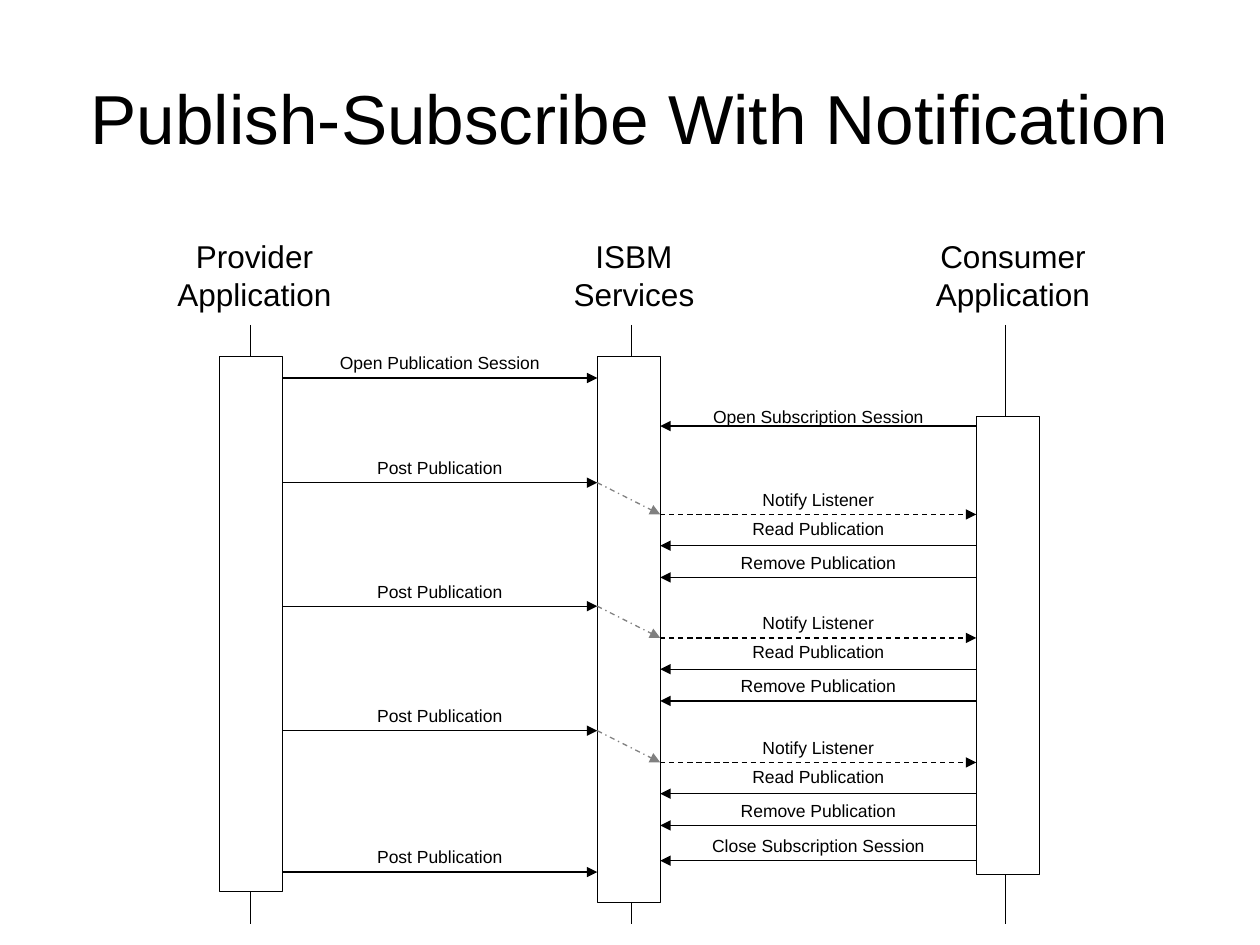
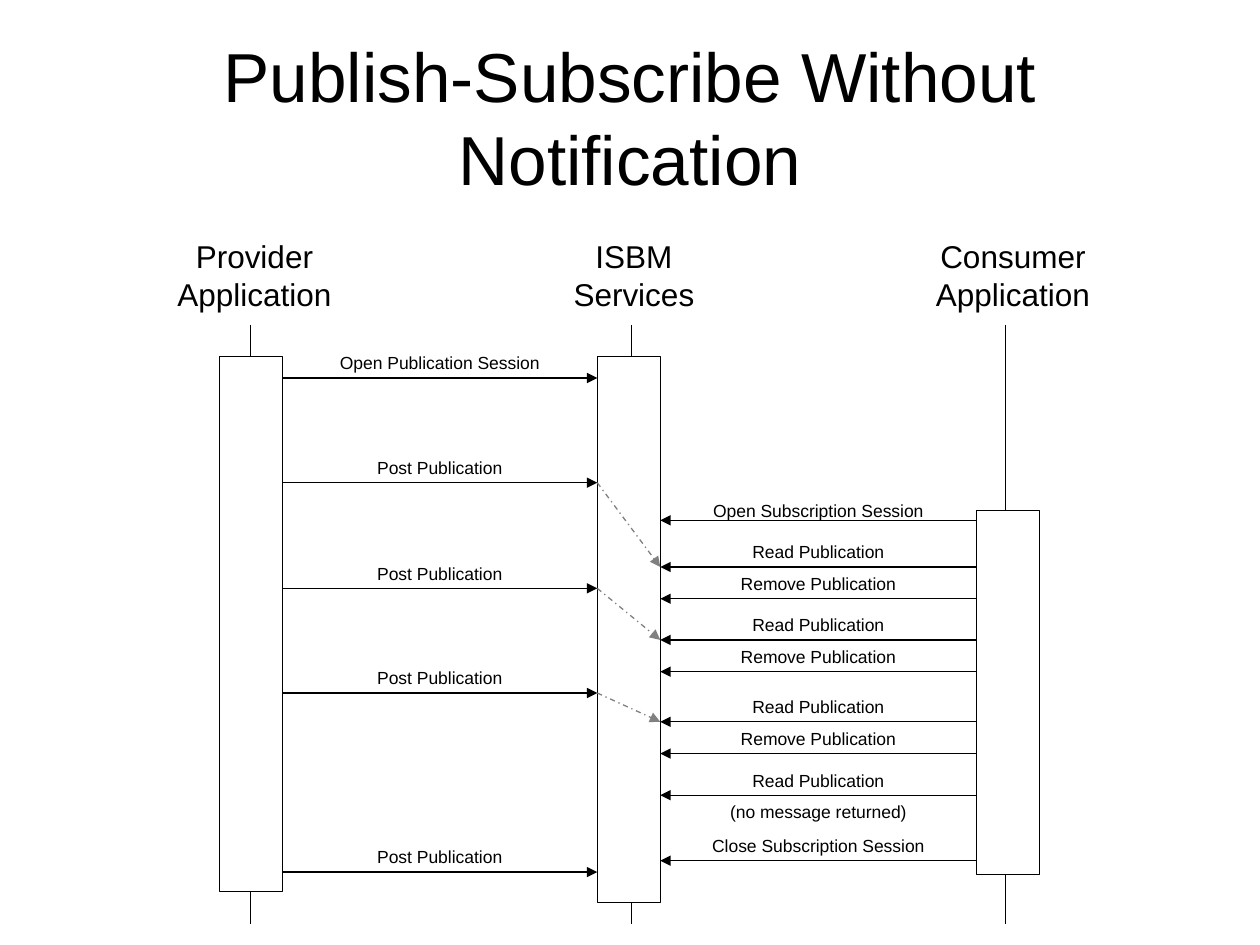
"""Builds two sequence diagrams of publish-subscribe messaging."""
from lxml import etree
from pptx import Presentation
from pptx import util as u
from pptx.dml.color import RGBColor
from pptx.enum import dml, shapes, text
from pptx.oxml import ns

BLACK = RGBColor(0x00, 0x00, 0x00)
WHITE = RGBColor(0xFF, 0xFF, 0xFF)
GREY = RGBColor(0x80, 0x80, 0x80)
FONT = "Arial"
DASH = dml.MSO_LINE.DASH
DOTS = dml.MSO_LINE.DASH_DOT

BAR = 1.27
STEP = 0.64
TOP = 7.19
ENDS = (17.98, 18.19, 17.63)
HEADS = (
    ("Provider\nApplication", 5.13, 3.61),
    ("ISBM\nServices", 12.78, 2.95),
    ("Consumer\nApplication", 20.42, 3.61),
)
LIVES = (5.05, 12.73, 20.27)
LEFTS = (4.42, 12.04, 19.69)
PROV, HUB, FAR, CONS = 5.69, 12.04, 13.31, 19.68

OPEN, POST = "Open Publication Session", "Post Publication"
JOIN, CLOSE = "Open Subscription Session", "Close Subscription Session"
TELL, READ, DROP = "Notify Listener", "Read Publication", "Remove Publication"
NOTE = "(no message returned)"
WIDTHS = {OPEN: 4.57, POST: 3.18, JOIN: 4.78, CLOSE: 4.83,
          TELL: 2.77, READ: 3.2, DROP: 3.66, NOTE: 4.09}

DECK = (
    {"title": "Publish-Subscribe With Notification", "join": 8.59, "lift": 0.69,
     "posts": (9.73, 12.22, 14.73), "reads": (11.0, 13.49, 16.0),
     "tells": True},
    {"title": "Publish-Subscribe Without Notification", "join": 10.49, "lift": STEP,
     "posts": (9.73, 11.86, 13.97), "reads": (11.43, 12.9, 14.55),
     "tells": False},
)


def write(slide, words, box=None, size=10, wrap=False, fit=text.MSO_AUTO_SIZE.SHAPE_TO_FIT_TEXT):
    """Write centred words in a new text box, or in the title if no box is given."""
    shape = slide.shapes.add_textbox(*map(u.Cm, box)) if box else slide.shapes.title
    frame = shape.text_frame
    frame.text = words
    frame.word_wrap = wrap
    frame.auto_size = fit
    for para in frame.paragraphs:
        para.alignment = text.PP_ALIGN.CENTER
        for run in para.runs:
            run.font.name = FONT
            run.font.size = u.Pt(size)
            run.font.color.rgb = BLACK
    return shape


def link(slide, start, end, color=BLACK, dash=None, arrow=True):
    """Draw a thin line from start to end, with an arrowhead if wanted."""
    wire = slide.shapes.add_connector(
        shapes.MSO_CONNECTOR.STRAIGHT, *map(u.Cm, (*start, *end)))
    wire.line.color.rgb = color
    wire.line.width = u.Pt(0.75)
    if dash:
        wire.line.dash_style = dash
    if arrow:
        etree.SubElement(wire.line._get_or_add_ln(), ns.qn("a:tailEnd"), type="triangle")
    etree.SubElement(wire._element.spPr, ns.qn("a:effectLst"))


deck = Presentation()
deck.slide_width, deck.slide_height = u.Cm(25.4), u.Cm(19.05)
plan = deck.slide_layouts[5]

for page in DECK:
    slide = deck.slides.add_slide(plan)
    head = write(slide, page["title"], size=39.6, wrap=True, fit=text.MSO_AUTO_SIZE.NONE)
    head.left, head.top, head.width, head.height = map(u.Cm, (1.27, 0.76, 22.86, 3.18))
    head.text_frame.vertical_anchor = text.MSO_ANCHOR.MIDDLE

    for (name, mid, wide), life in zip(HEADS, LIVES):
        write(slide, name, box=(mid - wide / 2, 4.65, wide, 1.78), size=18)
        link(slide, (life, 6.55), (life, 18.62), arrow=False)

    for left, top, end in zip(LEFTS, (TOP, TOP, page["join"] - 0.2), ENDS):
        bar = slide.shapes.add_shape(
            shapes.MSO_SHAPE.RECTANGLE, *map(u.Cm, (left, top, BAR, end - top)))
        bar.shadow.inherit = False
        bar.fill.solid()
        bar.fill.fore_color.rgb = WHITE
        bar.line.color.rgb = BLACK
        bar.line.width = u.Pt(0.75)

    calls = [
        (OPEN, 7.62, PROV, HUB, STEP, None),
        (JOIN, page["join"], CONS, FAR, 0.53, None),
        (CLOSE, 17.35, CONS, FAR, STEP, None),
        (POST, 17.58, PROV, HUB, STEP, None),
    ]
    for post, read in zip(page["posts"], page["reads"]):
        calls += [
            (POST, post, PROV, HUB, STEP, None),
            (READ, read, CONS, FAR, page["lift"], None),
            (DROP, read + STEP, CONS, FAR, STEP, None),
        ]
        goal = read
        if page["tells"]:
            goal = post + STEP
            calls.append((TELL, goal, FAR, CONS, STEP, DASH))
        link(slide, (HUB, post), (FAR, goal), color=GREY, dash=DOTS)
    if not page["tells"]:
        calls.append((READ, 16.03, CONS, FAR, STEP, None))
        wide = WIDTHS[NOTE]
        write(slide, NOTE, box=((FAR + CONS - wide) / 2, 16.03, wide, 0.69))

    for name, row, start, end, lift, dash in calls:
        wide = WIDTHS[name]
        link(slide, (start, row), (end, row), dash=dash)
        write(slide, name, box=((start + end - wide) / 2, row - lift, wide, 0.69))

deck.save("out.pptx")
